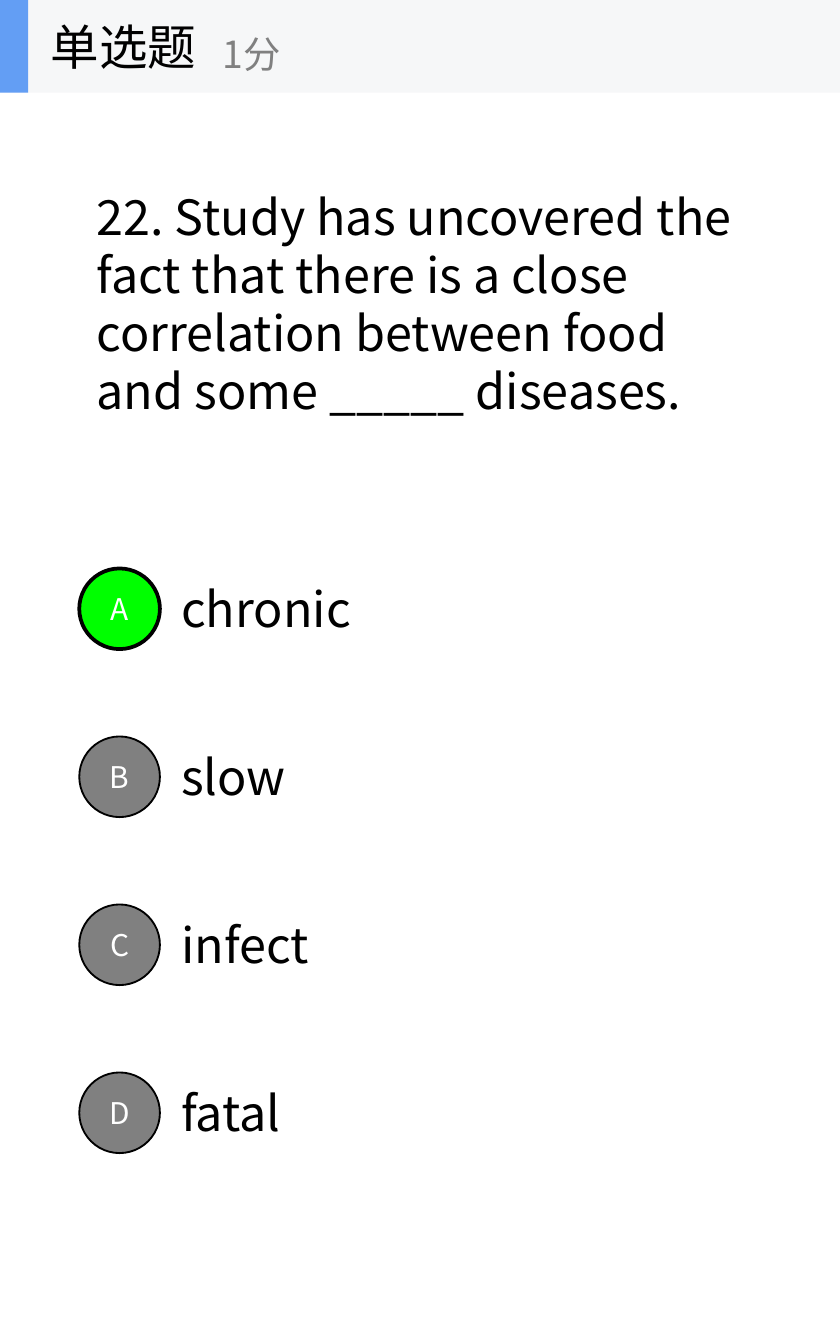
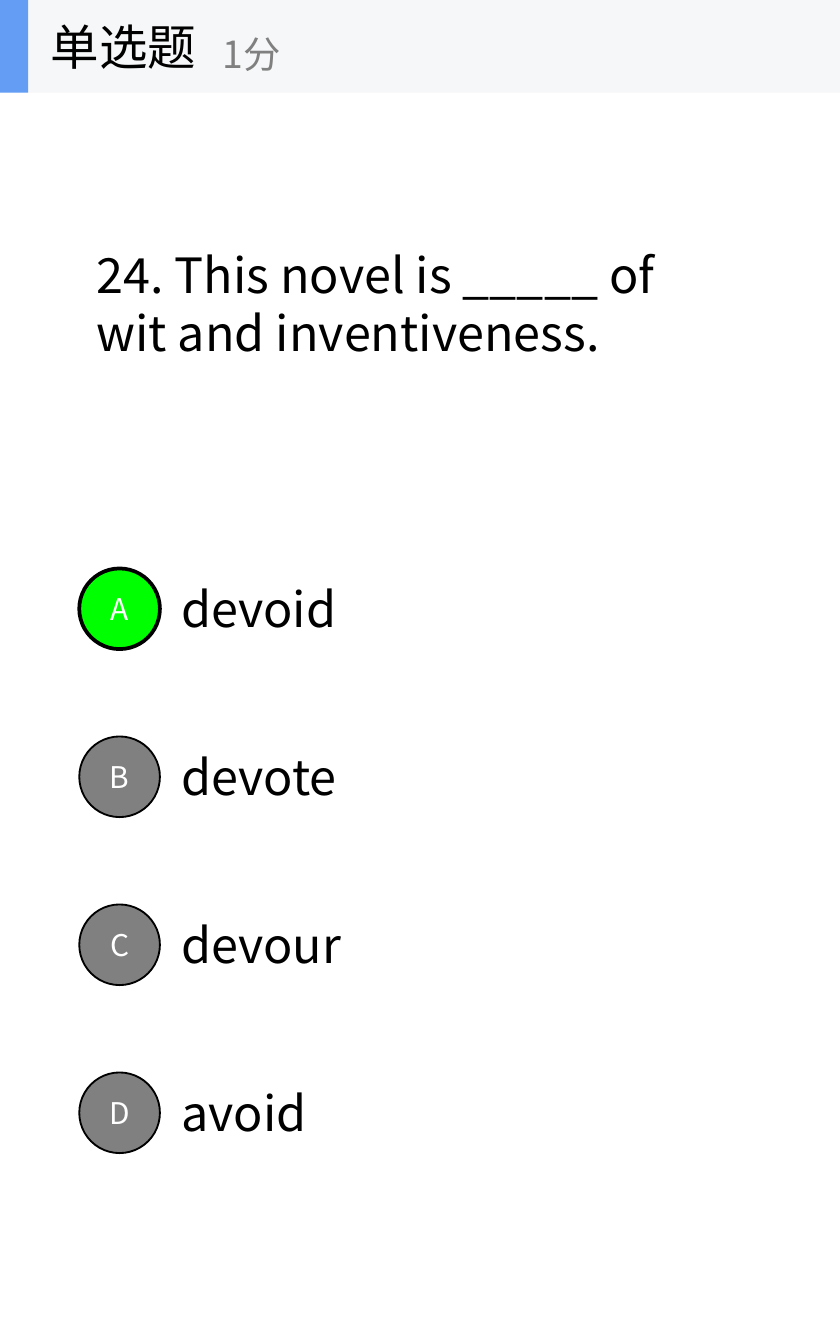
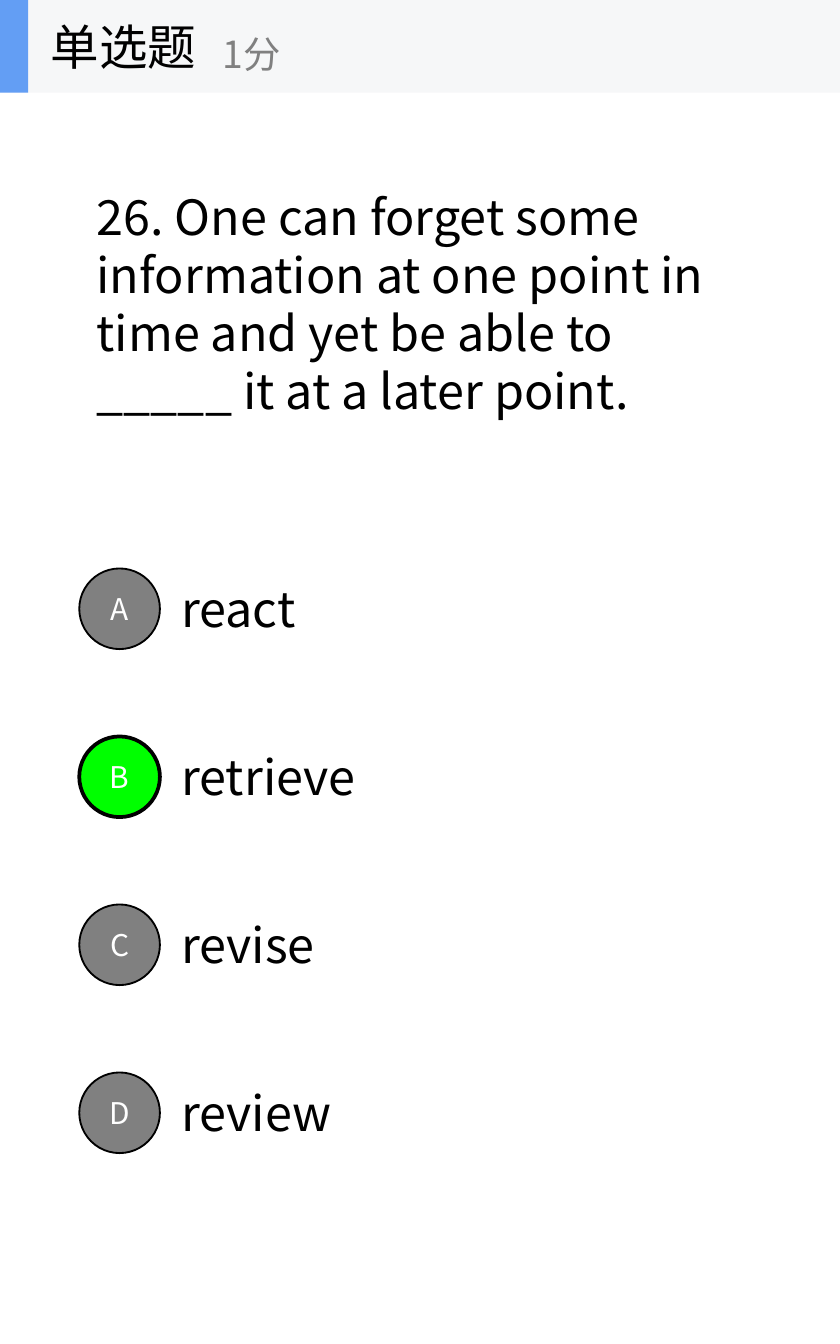
"""Build three single-choice vocabulary quiz slides."""
import dataclasses

import lxml.etree
import pptx
import pptx.dml.color
import pptx.enum.shapes
import pptx.enum.text
import pptx.oxml.ns
import pptx.util

Inches = pptx.util.Inches
Pt = pptx.util.Pt
Shape = pptx.enum.shapes.MSO_SHAPE


@dataclasses.dataclass(frozen=True)
class Theme:
    font: str = "Noto Sans CJK SC"
    ink: str = "000000"
    muted: str = "808080"
    correct: str = "00FF00"
    letter: str = "FFFFFF"
    band: str = "F6F7F8"
    accent: str = "639EF4"
    body_size: int = 26
    score_size: int = 20
    letter_size: int = 16
    question_spacing: float = 31.2


QUESTIONS = [
    ("22. Study has uncovered the fact that there is a close correlation "
     "between food and some _____ diseases.", (1.34, 4.97, 1.83), "A",
     [("chronic", 1.57), ("slow", 1.08), ("infect", 1.27), ("fatal", 1.06)]),
    ("24. This novel is _____ of wit and inventiveness.", (1.77, 4.81, 0.97), "A",
     [("devoid", 1.49), ("devote", 1.5), ("devour", 1.52), ("avoid", 1.25)]),
    ("26. One can forget some information at one point in time and yet be able "
     "to _____ it at a later point.", (1.34, 4.98, 1.83), "B",
     [("react", 1.16), ("retrieve", 1.61), ("revise", 1.3), ("review", 1.42)]),
]


class QuizDeck:
    def __init__(self, theme):
        self.theme = theme
        self.deck = pptx.Presentation()
        self.deck.slide_width = Inches(6.25)
        self.deck.slide_height = Inches(10)
        self.slide = None

    def add_slide(self):
        self.slide = self.deck.slides.add_slide(self.deck.slide_layouts[6])

    def set_text(self, shape, text, size, color):
        frame = shape.text_frame
        frame.text = text
        frame.word_wrap = True
        frame.vertical_anchor = pptx.enum.text.MSO_ANCHOR.MIDDLE
        frame.margin_top = frame.margin_bottom = 0
        paragraph = frame.paragraphs[0]
        for run in paragraph.runs:
            run.font.size = Pt(size)
            run.font.name = self.theme.font
            run.font.color.rgb = pptx.dml.color.RGBColor.from_string(color)
            east_asian = lxml.etree.SubElement(
                run.font._element, pptx.oxml.ns.qn("a:ea"))
            east_asian.set("typeface", self.theme.font)
        return paragraph

    def label(self, shapes, box, text, size, color):
        label = shapes.add_textbox(*map(Inches, box))
        return self.set_text(label, text, size, color)

    def block(self, shapes, kind, box, fill):
        block = shapes.add_shape(kind, *map(Inches, box))
        block.shadow.inherit = False
        block.fill.solid()
        block.fill.fore_color.rgb = pptx.dml.color.RGBColor.from_string(fill)
        block.line.fill.background()
        return block

    def question(self, text, top, width, height):
        paragraph = self.label(self.slide.shapes, (0.62, top, width, height),
                               text, self.theme.body_size, self.theme.ink)
        paragraph.line_spacing = Pt(self.theme.question_spacing)

    def option(self, row, letter, word, width, is_correct):
        theme = self.theme
        top = 4.23 + 1.25 * row
        self.label(self.slide.shapes, (1.25, top + 0.03, width, 0.53),
                   word, theme.body_size, theme.ink)
        badge = self.block(self.slide.shapes, Shape.OVAL, (0.59, top, 0.6, 0.6),
                           theme.correct if is_correct else theme.muted)
        badge.line.color.rgb = pptx.dml.color.RGBColor.from_string(theme.ink)
        badge.line.width = Pt(2 if is_correct else 1)
        paragraph = self.set_text(badge, letter, theme.letter_size, theme.letter)
        paragraph.alignment = pptx.enum.text.PP_ALIGN.CENTER

    def header(self, title, score):
        theme = self.theme
        shapes = self.slide.shapes.add_group_shape().shapes
        self.block(shapes, Shape.RECTANGLE, (0, 0, 6.25, 0.69), theme.band)
        self.block(shapes, Shape.RECTANGLE, (0, 0, 0.21, 0.69), theme.accent)
        self.label(shapes, (0.28, 0, 2.08, 0.69), title, theme.body_size, theme.ink)
        self.label(shapes, (1.56, 0.12, 2.5, 0.56), score, theme.score_size, theme.muted)


def main():
    quiz = QuizDeck(Theme())
    for question, placement, answer, options in QUESTIONS:
        quiz.add_slide()
        quiz.question(question, *placement)
        for row, (letter, (word, width)) in enumerate(zip("ABCD", options)):
            quiz.option(row, letter, word, width, letter == answer)
        quiz.header("单选题", "1分")
    quiz.deck.save("out.pptx")


if __name__ == "__main__":
    main()
